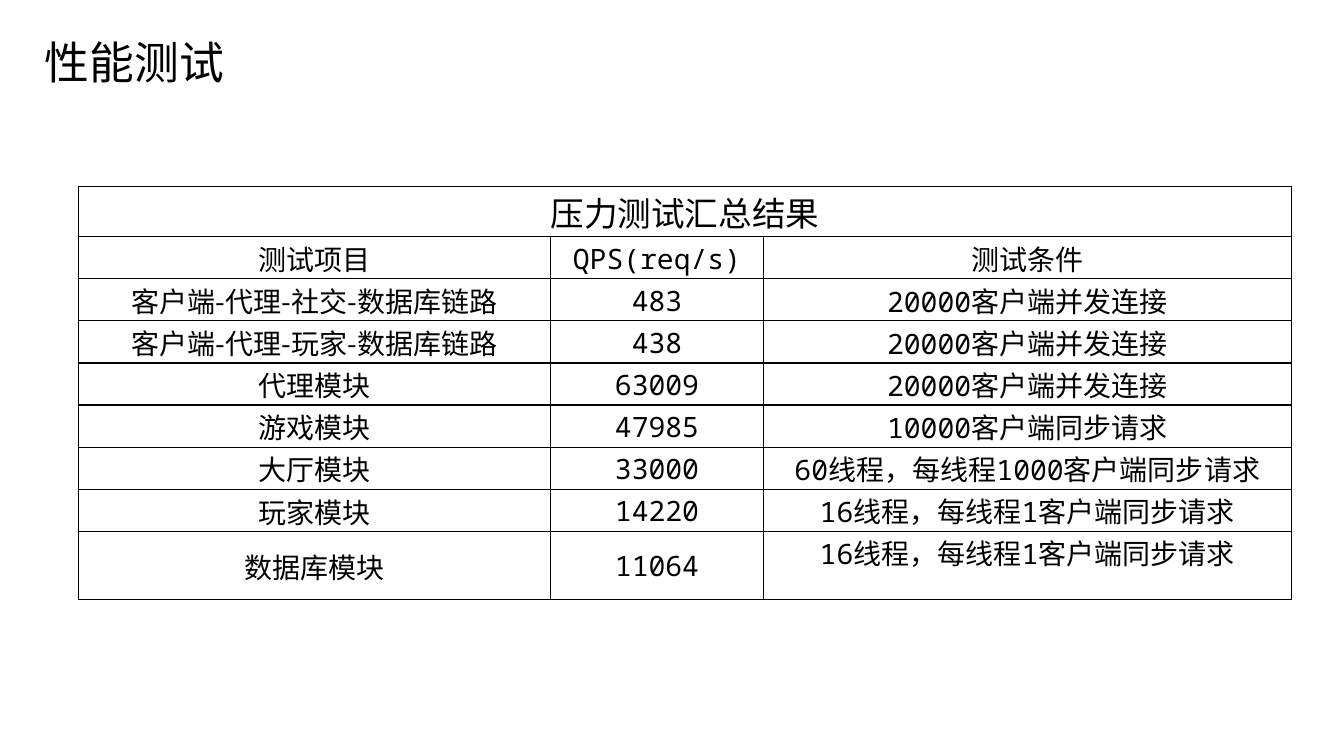
from lxml.etree import SubElement
from pptx import Presentation
from pptx.dml.color import RGBColor
from pptx.enum.text import MSO_ANCHOR, MSO_AUTO_SIZE, PP_ALIGN
from pptx.oxml.ns import qn
from pptx.util import Pt

COLORS = {"text": "000000", "border": "000000", "cell": "FFFFFF"}
SANS = "Noto Sans CJK SC"
MONO = "Noto Sans Mono"

HEADING = "压力测试汇总结果"
COLUMN_TITLES = ("测试项目", "QPS(req/s)", "测试条件")
RESULTS = [
    ("客户端-代理-社交-数据库链路", "483", "20000客户端并发连接"),
    ("客户端-代理-玩家-数据库链路", "438", "20000客户端并发连接"),
    ("代理模块", "63009", "20000客户端并发连接"),
    ("游戏模块", "47985", "10000客户端同步请求"),
    ("大厅模块", "33000", "60线程，每线程1000客户端同步请求"),
    ("玩家模块", "14220", "16线程，每线程1客户端同步请求"),
    ("数据库模块", "11064", "16线程，每线程1客户端同步请求"),
]
COLUMN_SHARES = (4.68, 2.11, 5.23)
HEADING_HEIGHT, ROW_HEIGHT = 36, 30.1


def write_text(frame, text, *, size, font=SANS, align=PP_ALIGN.LEFT):
    paragraph = frame.paragraphs[0]
    paragraph.alignment = align
    run = paragraph.add_run()
    run.text = text
    run.font.size = Pt(size)
    run.font.name = font
    run.font.color.rgb = RGBColor.from_string(COLORS["text"])
    # Chinese characters always use the sans face
    SubElement(run.font._element, qn("a:ea"), typeface=SANS)


def style_cell(cell):
    cell.vertical_anchor = MSO_ANCHOR.MIDDLE
    cell.margin_left = cell.margin_right = cell.margin_top = Pt(0.7)
    cell.margin_bottom = 0
    properties = cell._tc.get_or_add_tcPr()
    for side in ("lnL", "lnR", "lnT", "lnB"):
        border = SubElement(properties, qn(f"a:{side}"), w=str(Pt(1)))
        fill = SubElement(border, qn("a:solidFill"))
        SubElement(fill, qn("a:srgbClr"), val=COLORS["border"])
    cell.fill.solid()
    cell.fill.fore_color.rgb = RGBColor.from_string(COLORS["cell"])


def add_title(slide, left, top, width, height):
    title = slide.shapes.add_textbox(Pt(left), Pt(top), Pt(width), Pt(height))
    title.text_frame.word_wrap = False
    title.text_frame.auto_size = MSO_AUTO_SIZE.SHAPE_TO_FIT_TEXT
    write_text(title.text_frame, "性能测试", size=32)


def add_results(slide, left, top, width, height):
    row_count = len(RESULTS) + 2
    table = slide.shapes.add_table(
        row_count, len(COLUMN_TITLES), Pt(left), Pt(top), Pt(width), Pt(height)
    ).table
    table.first_row = table.horz_banding = False

    # Column widths and row heights; the last row takes what remains
    for column, share in zip(table.columns, COLUMN_SHARES):
        column.width = Pt(width * share / sum(COLUMN_SHARES))
    last_height = height - HEADING_HEIGHT - ROW_HEIGHT * (row_count - 2)
    heights = [HEADING_HEIGHT] + [ROW_HEIGHT] * (row_count - 2) + [last_height]
    for row, row_height in zip(table.rows, heights):
        row.height = Pt(row_height)
    for cell in table.iter_cells():
        style_cell(cell)

    # Heading across all columns
    heading = table.cell(0, 0)
    heading.merge(table.cell(0, len(COLUMN_TITLES) - 1))
    write_text(heading.text_frame, HEADING, size=24, align=PP_ALIGN.CENTER)

    # Column titles and results
    for row_index, values in enumerate([COLUMN_TITLES] + RESULTS, start=1):
        for column_index, value in enumerate(values):
            is_item = row_index > 1 and column_index == 0
            write_text(table.cell(row_index, column_index).text_frame, value,
                       size=20, font=SANS if is_item else MONO,
                       align=PP_ALIGN.CENTER)

    # The last condition sits at the top of its taller row
    last_condition = table.cell(row_count - 1, len(COLUMN_TITLES) - 1)
    last_condition.vertical_anchor = MSO_ANCHOR.TOP


def main():
    presentation = Presentation()
    presentation.slide_width, presentation.slide_height = Pt(960), Pt(540)
    slide = presentation.slides.add_slide(presentation.slide_layouts[6])
    add_title(slide, 25, 21, 144, 46)
    add_results(slide, 56, 133, 866.3, 295.2)
    presentation.save("out.pptx")


if __name__ == "__main__":
    main()
